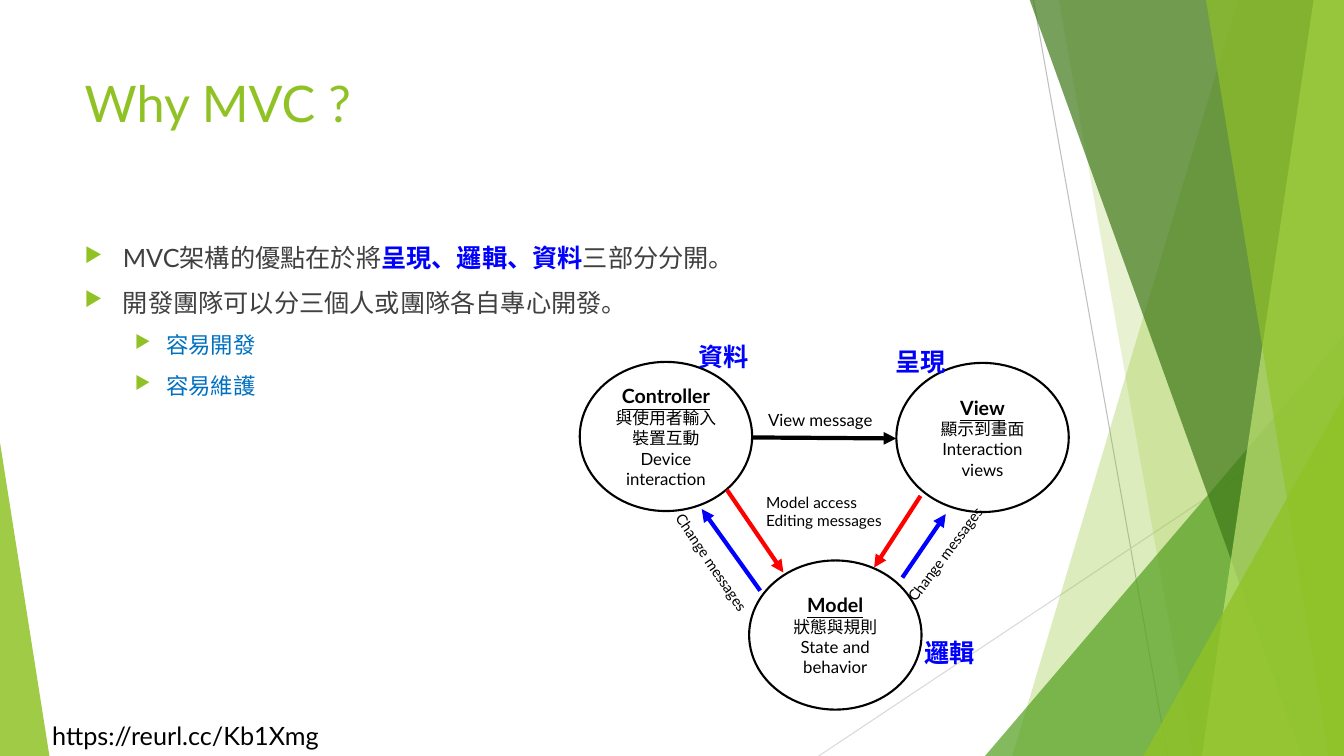
from typing import NamedTuple

from lxml import etree
from pptx import Presentation
from pptx import util as u
from pptx.dml.color import RGBColor
from pptx.enum import shapes, text
from pptx.oxml.ns import qn

FONT = "Lato"
BLACK = RGBColor(0x00, 0x00, 0x00)
WHITE = RGBColor(0xFF, 0xFF, 0xFF)
RED = RGBColor(0xFF, 0x00, 0x00)
BLUE = RGBColor(0x00, 0x00, 0xFF)
SKY = RGBColor(0x00, 0x70, 0xC0)
BODY_GRAY = RGBColor(0x40, 0x40, 0x40)
RULE_GRAY = RGBColor(0xBF, 0xBF, 0xBF)
PALE_GRAY = RGBColor(0xD9, 0xD9, 0xD9)
LIME = RGBColor(0x90, 0xC2, 0x26)
GREEN = RGBColor(0x54, 0xA0, 0x21)
FOREST = RGBColor(0x3F, 0x78, 0x19)
PALE_LIME = RGBColor(0xC0, 0xE4, 0x74)

WIDTH, HEIGHT, BLEED = 13.33, 7.5, -0.01
ROLE_WIDTH, ROLE_HEIGHT = 1.71, 1.48


class Band(NamedTuple):
    top_left: float
    bottom_left: float
    color: RGBColor
    opacity: int


class Wedge(NamedTuple):
    left: float
    top: float
    width: float
    apex: float
    color: RGBColor
    opacity: int


class Stroke(NamedTuple):
    start: tuple[float, float]
    end: tuple[float, float]
    color: RGBColor
    weight: float = 3
    arrow: bool = True


class Role(NamedTuple):
    left: float
    top: float
    name: str
    duties: tuple[str, ...]


class Label(NamedTuple):
    left: float
    top: float
    width: float
    height: float
    lines: tuple[str, ...]
    size: float
    color: RGBColor = BLACK
    bold: bool = False
    rotation: float = 0


class Point(NamedTuple):
    level: int
    size: float
    runs: tuple[tuple[str, RGBColor, bool], ...]


RULES = [
    Stroke((10.25, 0), (11.58, HEIGHT), RULE_GRAY, 0.75, False),
    Stroke((WIDTH, 4.03), (8.12, HEIGHT), PALE_GRAY, 0.75, False),
]
FACETS = [
    Band(12.28, 10.04, LIME, 30),
    Band(10.5, 11.83, LIME, 20),
    Wedge(9.77, 3.33, 3.56, 1, GREEN, 72),
    Band(10.21, 12.91, FOREST, 70),
    Band(13.03, 11.92, PALE_LIME, 70),
    Band(11.96, 13.18, LIME, 65),
    Wedge(11.34, 3.93, 1.99, 1, LIME, 80),
    Wedge(0, 4.39, 0.49, 0, LIME, 85),
]
POINTS = [
    Point(0, 18, (("MVC架構的優點在於將", BODY_GRAY, False),
                  ("呈現、邏輯、資料", BLUE, True),
                  ("三部分分開。", BODY_GRAY, False))),
    Point(0, 18, (("開發團隊可以分三個人或團隊各自專心開發。", BODY_GRAY, False),)),
    Point(1, 16, (("容易開發", SKY, False),)),
    Point(1, 16, (("容易維護", SKY, False),)),
]
ROLES = [
    Role(5.75, 3.59, "Controller", ("與使用者輸入裝置互動", "Device interaction")),
    Role(8.89, 3.6, "View", ("顯示到畫面", "Interaction views")),
    Role(7.43, 5.56, "Model", ("狀態與規則", "State and behavior")),
]
MESSAGES = [
    Stroke((7.46, 4.34), (8.89, 4.35), BLACK),
    Stroke((7.21, 4.86), (7.77, 5.68), RED),
    Stroke((7.54, 5.86), (6.96, 5.05), BLUE),
    Stroke((9.13, 4.92), (8.67, 5.63), RED),
    Stroke((8.95, 5.73), (9.38, 5.1), BLUE),
]
LABELS = [
    Label(0.42, 7.1, 3.06, 0.4, ("https://reurl.cc/Kb1Xmg",), 18),
    Label(7.52, 4.02, 1.24, 0.3, ("View message",), 12),
    Label(7.5, 4.84, 1.37, 0.47, ("Model access", "Editing messages"), 11),
    Label(8.71, 5.35, 1.34, 0.28, ("Change messages",), 10.5, rotation=306.7),
    Label(6.39, 5.45, 1.34, 0.28, ("Change messages",), 10.5, rotation=55.7),
    Label(8.78, 3.39, 0.71, 0.4, ("呈現",), 18, BLUE, True),
    Label(9.07, 6.27, 0.71, 0.4, ("邏輯",), 18, BLUE, True),
    Label(6.83, 3.34, 0.71, 0.4, ("資料",), 18, BLUE, True),
]


def inches(*lengths: float) -> list[u.Length]:
    return [u.Inches(length) for length in lengths]


def style(font, size: float, color: RGBColor, bold: bool = False) -> None:
    font.name, font.size, font.bold = FONT, u.Pt(size), bold
    font.color.rgb = color


def write(frame, line: str, first: bool):
    paragraph = frame.paragraphs[0] if first else frame.add_paragraph()
    paragraph.text = line
    return paragraph


def draw_stroke(slide, stroke: Stroke) -> None:
    connector = slide.shapes.add_connector(
        shapes.MSO_CONNECTOR.STRAIGHT, *inches(*stroke.start, *stroke.end))
    connector.line.color.rgb = stroke.color
    connector.line.width = u.Pt(stroke.weight)
    properties = connector.line._get_or_add_ln()
    if stroke.arrow:
        etree.SubElement(properties, qn("a:tailEnd"), type="triangle")
    etree.SubElement(properties.getparent(), qn("a:effectLst"))


def draw_facet(slide, facet: Band | Wedge) -> None:
    if isinstance(facet, Band):
        outline = slide.shapes.build_freeform(*inches(facet.top_left, BLEED), scale=1.0)
        corners = [(WIDTH, BLEED), (WIDTH, HEIGHT), (facet.bottom_left, HEIGHT)]
        outline.add_line_segments([inches(*corner) for corner in corners], close=True)
        shape = outline.convert_to_shape()
    else:
        shape = slide.shapes.add_shape(
            shapes.MSO_SHAPE.ISOSCELES_TRIANGLE,
            *inches(facet.left, facet.top, facet.width, HEIGHT - facet.top))
        shape.adjustments[0] = facet.apex
    shape.shadow.inherit = False
    shape.line.fill.background()
    shape.fill.solid()
    shape.fill.fore_color.rgb = facet.color
    color = shape.fill._xPr.find(qn("a:solidFill")).find(qn("a:srgbClr"))
    etree.SubElement(color, qn("a:alpha"), val=str(facet.opacity * 1000))


def draw_role(slide, role: Role) -> None:
    oval = slide.shapes.add_shape(
        shapes.MSO_SHAPE.OVAL, *inches(role.left, role.top, ROLE_WIDTH, ROLE_HEIGHT))
    oval.shadow.inherit = False
    oval.fill.solid()
    oval.fill.fore_color.rgb = WHITE
    oval.line.color.rgb = BLACK
    oval.line.width = u.Pt(1.5)
    oval.text_frame.vertical_anchor = text.MSO_ANCHOR.MIDDLE
    for index, line in enumerate((role.name, *role.duties)):
        heading = index == 0
        paragraph = write(oval.text_frame, line, heading)
        paragraph.alignment = text.PP_ALIGN.CENTER
        style(paragraph.font, 14 if heading else 12, BLACK, heading)
        paragraph.font.underline = heading


def draw_label(slide, label: Label) -> None:
    box = slide.shapes.add_textbox(*inches(label.left, label.top, label.width, label.height))
    box.rotation = label.rotation
    box.text_frame.word_wrap = False
    box.text_frame.auto_size = text.MSO_AUTO_SIZE.SHAPE_TO_FIT_TEXT
    for index, line in enumerate(label.lines):
        style(write(box.text_frame, line, index == 0).font, label.size, label.color, label.bold)


def draw_points(slide, points: list[Point]) -> None:
    frame = slide.shapes.add_textbox(*inches(0.74, 2.36, 9.4, 4.24)).text_frame
    frame.word_wrap = True
    for index, point in enumerate(points):
        paragraph = write(frame, "", index == 0)
        paragraph.level = point.level
        margin, indent = ((0.38, -0.38), (0.81, -0.31))[point.level]
        properties = paragraph._p.get_or_add_pPr()
        properties.set("marL", str(u.Inches(margin)))
        properties.set("indent", str(u.Inches(indent)))
        bullet_color = etree.SubElement(properties, qn("a:buClr"))
        etree.SubElement(bullet_color, qn("a:srgbClr"), val=str(LIME))
        etree.SubElement(properties, qn("a:buSzPct"), val="80000")
        etree.SubElement(properties, qn("a:buChar"), char="▶")
        if index:
            paragraph.space_before = u.Pt(10)
        paragraph.font.name, paragraph.font.size = FONT, u.Pt(point.size)
        for words, color, bold in point.runs:
            run = paragraph.add_run()
            run.text = words
            run.font.color.rgb, run.font.bold = color, bold


def draw_title(slide, words: str) -> None:
    title = slide.shapes.title
    title.left, title.top, title.width, title.height = inches(0.74, 0.67, 9.4, 1.44)
    title.text_frame.vertical_anchor = text.MSO_ANCHOR.TOP
    title.text_frame.auto_size = text.MSO_AUTO_SIZE.NONE
    paragraph = write(title.text_frame, words, True)
    paragraph.alignment = text.PP_ALIGN.LEFT
    style(paragraph.font, 36, LIME)


def main() -> None:
    deck = Presentation()
    deck.slide_width, deck.slide_height = inches(WIDTH, HEIGHT)
    slide = deck.slides.add_slide(deck.slide_layouts[5])
    for rule in RULES:
        draw_stroke(slide, rule)
    for facet in FACETS:
        draw_facet(slide, facet)
    draw_title(slide, "Why MVC ?")
    draw_points(slide, POINTS)
    for role in ROLES:
        draw_role(slide, role)
    for message in MESSAGES:
        draw_stroke(slide, message)
    for label in LABELS:
        draw_label(slide, label)
    deck.save("out.pptx")


if __name__ == "__main__":
    main()
